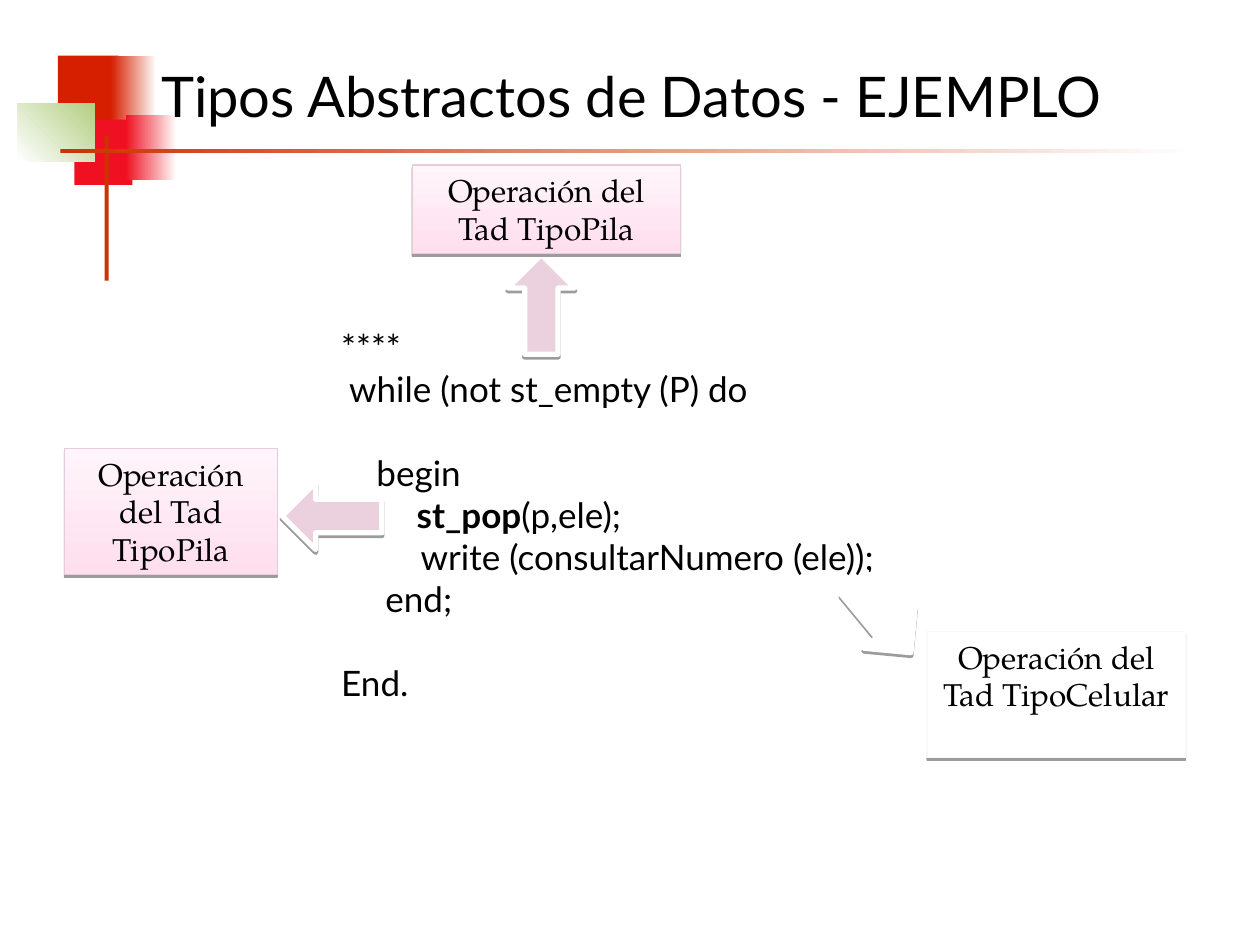
from dataclasses import dataclass
from typing import Optional

import pptx
import pptx.dml.color
import pptx.enum.shapes
import pptx.enum.text
import pptx.oxml
import pptx.oxml.ns
import pptx.util
from pptx.util import Cm, Pt

RGBColor = pptx.dml.color.RGBColor
MSO_SHAPE = pptx.enum.shapes.MSO_SHAPE
PP_ALIGN = pptx.enum.text.PP_ALIGN
MSO_ANCHOR = pptx.enum.text.MSO_ANCHOR
qn = pptx.oxml.ns.qn

BLACK = RGBColor(0x00, 0x00, 0x00)
WHITE = RGBColor(0xFF, 0xFF, 0xFF)
RED = RGBColor(0xD6, 0x1F, 0x00)
CRIMSON = RGBColor(0xEF, 0x11, 0x21)
GREEN = RGBColor(0xB3, 0xCE, 0x82)
RUST = RGBColor(0xCC, 0x33, 0x00)
PINK = RGBColor(0xFF, 0xDE, 0xEE)
PALE_PINK = RGBColor(0xFF, 0xF5, 0xFA)
PINK_EDGE = RGBColor(0xE5, 0xCC, 0xD8)
MAUVE = RGBColor(0xEA, 0xD1, 0xDD)
GREY_EDGE = RGBColor(0xF9, 0xF9, 0xF9)

SANS = "Lato"
SERIF = "TeX Gyre Pagella"
SHADOW = (
    '<a:outerShdw xmlns:a="http://schemas.openxmlformats.org/drawingml/2006/main" '
    'blurRad="0" dist="20000" dir="5400000" rotWithShape="0">'
    '<a:srgbClr val="000000"><a:alpha val="38000"/></a:srgbClr></a:outerShdw>'
)


@dataclass
class Block:
    """Rectangle in cm; end is the second gradient colour, angle is counterclockwise."""
    left: float
    top: float
    width: float
    height: float
    color: RGBColor
    end: Optional[RGBColor] = None
    angle: float = 0
    edge: Optional[RGBColor] = None


@dataclass
class Callout:
    """An arrow and the label box it points to."""
    arrow: tuple[float, float, float]
    arrow_color: RGBColor
    rotation: float
    flip: bool
    box: Block
    text: str


@dataclass
class CodeLine:
    indent: float
    text: str
    bold: str = ""
    gap: float = 0


ORNAMENTS = [
    Block(1.17, 1.12, 1.22, 1.32, RED),
    Block(2.24, 1.12, 0.91, 1.32, RED, WHITE),
    Block(1.5, 2.41, 1.17, 1.32, CRIMSON),
    Block(2.54, 2.31, 1.02, 1.32, CRIMSON, WHITE),
    Block(0.36, 2.08, 1.55, 1.17, WHITE, GREEN, 45),
    Block(2.11, 2.74, 0.08, 2.92, RUST),
    Block(1.22, 3, 22.86, 0.08, RUST, WHITE),
]

CODE = [
    CodeLine(0.48, "****"),
    CodeLine(0.64, "while (not st_empty (P) do"),
    CodeLine(1.19, "begin", gap=24),
    CodeLine(2, "(p,ele);", bold="st_pop"),
    CodeLine(2.08, "write (consultarNumero (ele));"),
    CodeLine(1.37, "end;"),
    CodeLine(0.48, "End.", gap=24),
]

CALLOUTS = [
    Callout((5.69, 9.73, 2.01), MAUVE, 0, True,
            Block(1.3, 9.04, 4.29, 2.54, PINK, PALE_PINK, 90, PINK_EDGE),
            "Operación del Tad TipoPila"),
    Callout((16.89, 11.79, 1.8), WHITE, 50.4, False,
            Block(18.69, 12.73, 5.21, 2.54, WHITE, edge=GREY_EDGE),
            "Operación del Tad TipoCelular"),
    Callout((9.91, 5.46, 2.01), MAUVE, 90, True,
            Block(8.31, 3.33, 5.41, 1.78, PINK, PALE_PINK, 90, PINK_EDGE),
            "Operación del Tad TipoPila"),
]


def add_block(s, b: Block, kind=MSO_SHAPE.RECTANGLE, line_width: float = 0.75):
    sp = s.shapes.add_shape(kind, Cm(b.left), Cm(b.top), Cm(b.width), Cm(b.height))
    sp.shadow.inherit = False
    if b.end is None:
        sp.fill.solid()
        sp.fill.fore_color.rgb = b.color
    else:
        sp.fill.gradient()
        sp.fill.gradient_angle = b.angle
        for stop, color, position in zip(sp.fill.gradient_stops, (b.color, b.end), (0, 1)):
            stop.color.rgb = color
            stop.position = position
    if b.edge is None:
        sp.line.fill.background()
    else:
        sp.line.color.rgb = b.edge
        sp.line.width = Pt(line_width)
    return sp


def add_shadow(sp) -> None:
    effects = sp._element.spPr.find(qn("a:effectLst"))
    effects.append(pptx.oxml.parse_xml(SHADOW))


def add_run(p, text: str, size: float, font: str, bold: bool = False) -> None:
    r = p.add_run()
    r.text = text
    r.font.size = Pt(size)
    r.font.name = font
    r.font.bold = bold
    r.font.color.rgb = BLACK


def add_title(s, text: str) -> None:
    tf = s.shapes.add_textbox(Cm(3), Cm(0.48), Cm(20.5), Cm(2.24)).text_frame
    tf.word_wrap = True
    tf.vertical_anchor = MSO_ANCHOR.BOTTOM
    add_run(tf.paragraphs[0], text, 32, SANS)


def add_code(s, lines: list[CodeLine]) -> None:
    sp = add_block(s, Block(6.15, 6.43, 17.96, 7.87, WHITE, edge=WHITE), line_width=1)
    tf = sp.text_frame
    tf.word_wrap = True
    tf.vertical_anchor = MSO_ANCHOR.TOP
    for i, line in enumerate(lines):
        p = tf.add_paragraph() if i else tf.paragraphs[0]
        p.alignment = PP_ALIGN.JUSTIFY
        p.space_before = Pt(line.gap)
        p._p.get_or_add_pPr().set("marL", str(Cm(line.indent)))
        if line.bold:
            add_run(p, line.bold, 20, SANS, bold=True)
        add_run(p, line.text, 20, SANS)


def add_callout(s, c: Callout) -> None:
    left, top, width = c.arrow
    arrow = add_block(s, Block(left, top, width, 1.35, c.arrow_color, edge=WHITE),
                      MSO_SHAPE.RIGHT_ARROW, 3)
    arrow.rotation = c.rotation
    if c.flip:
        arrow._element.spPr.xfrm.set("flipH", "1")
    add_shadow(arrow)

    box = add_block(s, c.box)
    add_shadow(box)
    tf = box.text_frame
    tf.word_wrap = True
    tf.vertical_anchor = MSO_ANCHOR.TOP
    p = tf.paragraphs[0]
    p.alignment = PP_ALIGN.CENTER
    add_run(p, c.text, 18, SERIF)


def main() -> None:
    prs = pptx.Presentation()
    prs.slide_width, prs.slide_height = Cm(25.4), Cm(19.05)
    s = prs.slides.add_slide(prs.slide_layouts[6])

    # Corner ornament and rules
    for ornament in ORNAMENTS:
        add_block(s, ornament)

    # Title and program listing
    add_title(s, "Tipos Abstractos de Datos - EJEMPLO")
    add_code(s, CODE)

    # Labelled operations
    for callout in CALLOUTS:
        add_callout(s, callout)

    prs.save("out.pptx")


if __name__ == "__main__":
    main()
